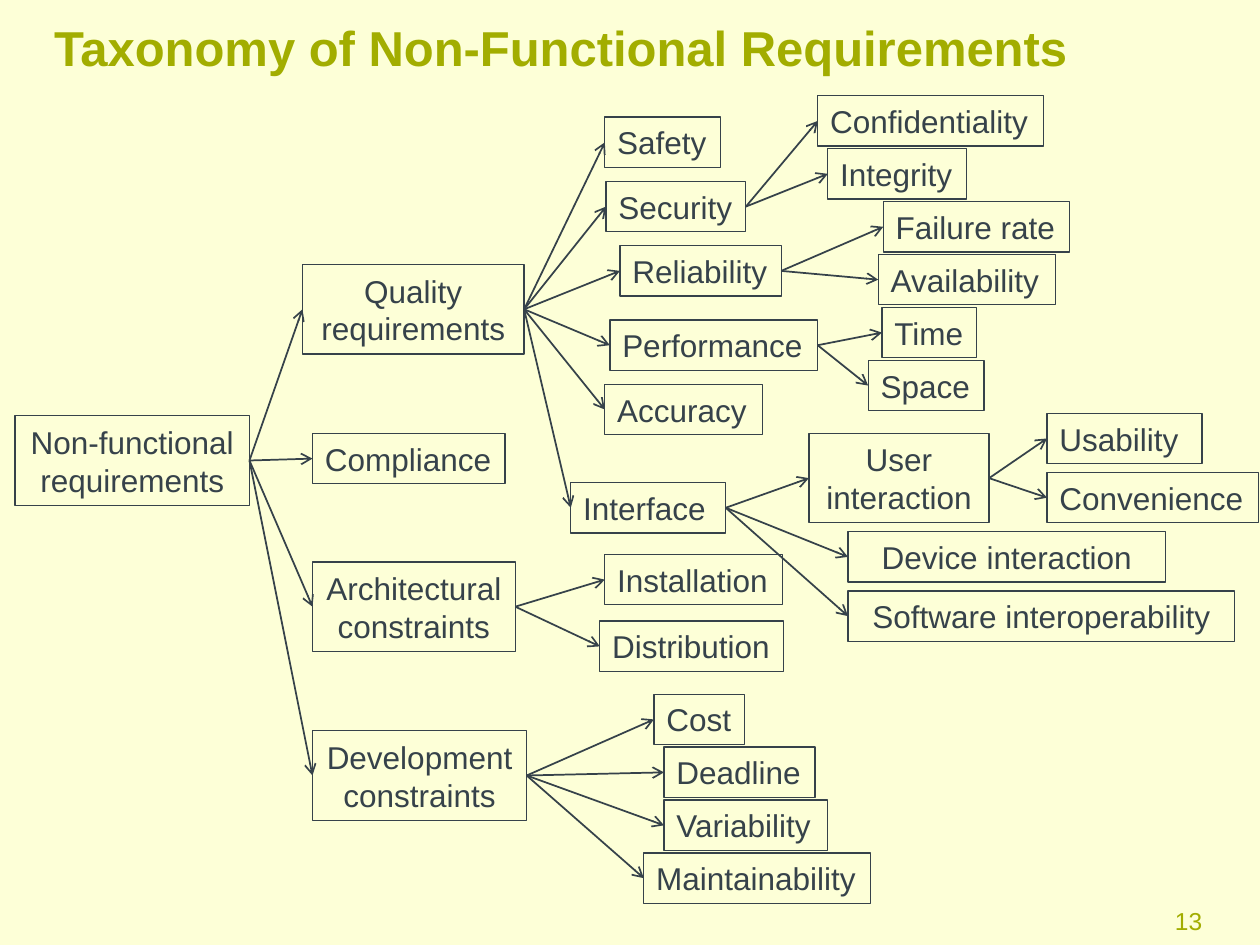
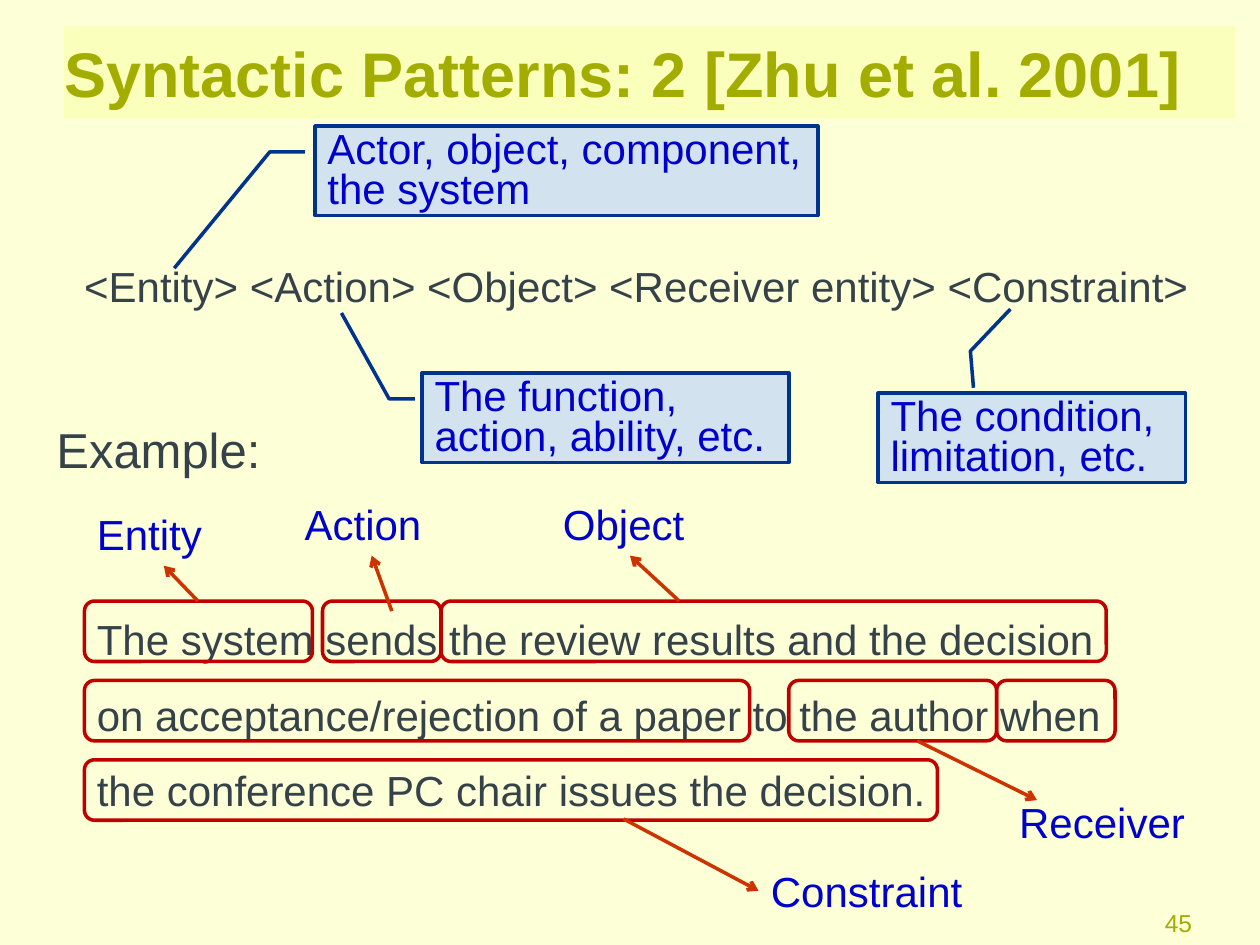
import pptx
import pptx.util
import pptx.dml.color
import pptx.enum.shapes
import pptx.enum.text
import pptx.oxml
import pptx.oxml.ns

Inches = pptx.util.Inches
SHAPE = pptx.enum.shapes.MSO_SHAPE
ALIGN = pptx.enum.text.PP_ALIGN
ANCHOR = pptx.enum.text.MSO_ANCHOR


class Theme:
    font = "Arial"
    page = "FDFFD7"
    band = "FBFFBC"
    head = "A2AD00"
    ink = "36424A"
    blue = "0000CC"
    navy = "00338E"
    sky = "D2E3EF"
    frame = "C00000"
    arrow = "CC3300"
    node = 18
    body = 24
    lead = 28
    foot = 14


TREE_HEAD = ("Taxonomy of Non-Functional Requirements", 28, (0.43, 0.02, 9.25, 0.71), None)
TREE_FOOT = ("13", 9.07, 7.14)
ROOT = "Non-functional requirements"
TALL, LOW = 0.71, 0.4
MID, LEFT = ALIGN.CENTER, ALIGN.LEFT

# top, step, height, alignment, [(parent, label, left, width)]
STACKS = [
    (3.3, 0, TALL, MID, [(None, ROOT, 0.12, 1.86)]),
    (2.1, 0, TALL, MID, [(ROOT, "Quality requirements", 2.4, 1.76)]),
    (3.44, 0, LOW, LEFT, [(ROOT, "Compliance", 2.48, 1.53)]),
    (4.46, 1.34, TALL, MID, [
        (ROOT, "Architectural constraints", 2.48, 1.61),
        (ROOT, "Development constraints", 2.48, 1.7)]),
    (0.93, 0.51, LOW, LEFT, [
        ("Quality requirements", "Safety", 4.8, 0.92),
        ("Quality requirements", "Security", 4.81, 1.11),
        ("Quality requirements", "Reliability", 4.92, 1.28)]),
    (2.54, 0.51, LOW, LEFT, [
        ("Quality requirements", "Performance", 4.84, 1.65),
        ("Quality requirements", "Accuracy", 4.8, 1.25)]),
    (3.83, 0, LOW, LEFT, [("Quality requirements", "Interface", 4.53, 1.23)]),
    (0.76, 0.42, LOW, LEFT, [
        ("Security", "Confidentiality", 6.49, 1.79),
        ("Security", "Integrity", 6.57, 1.1),
        ("Reliability", "Failure rate", 7.01, 1.48),
        ("Reliability", "Availability", 6.97, 1.41),
        ("Performance", "Time", 7, 0.75),
        ("Performance", "Space", 6.89, 0.92)]),
    (3.44, 0, TALL, MID, [("Interface", "User interaction", 6.42, 1.43)]),
    (4.22, 0.47, LOW, MID, [
        ("Interface", "Device interaction", 6.73, 2.52),
        ("Interface", "Software interoperability", 6.73, 3.07)]),
    (3.28, 0.47, LOW, LEFT, [
        ("User interaction", "Usability", 8.31, 1.23),
        ("User interaction", "Convenience", 8.31, 1.68)]),
    (4.4, 0.53, LOW, LEFT, [
        ("Architectural constraints", "Installation", 4.8, 1.41),
        ("Architectural constraints", "Distribution", 4.76, 1.46)]),
    (5.51, 0.42, LOW, LEFT, [
        ("Development constraints", "Cost", 5.19, 0.72),
        ("Development constraints", "Deadline", 5.27, 1.2),
        ("Development constraints", "Variability", 5.27, 1.3),
        ("Development constraints", "Maintainability", 5.11, 1.8)]),
]

RULE_HEAD = ("Syntactic Patterns: 2 [Zhu et al. 2001]", 36, (0.51, 0.21, 9.29, 0.73), Theme.band)
RULE_FOOT = ("45", 8.99, 7.16)
TEXTS = [
    ("<Entity> <Action> <Object> <Receiver entity> <Constraint>",
     (0.57, 2.02, 9.1, 0.5), Theme.body, 1),
    ("The system sends the review results and the decision on acceptance/rejection "
     "of a paper to the author when the conference PC chair issues the decision.",
     (0.67, 4.62, 8.5, 1.88), Theme.body, 1.5),
    ("Example:", (0.35, 3.28, 2.13, 0.57), Theme.lead, 1),
]
NOTES = [
    ("Actor, object, component, the system", 2.5, 1, 3.99,
     (0.29, -0.02, 0.29, -0.09, 1.59, -0.28)),
    ("The function, action, ability, etc.", 3.35, 2.96, 2.91,
     (0.29, -0.02, 0.29, -0.09, -0.67, -0.22)),
    ("The condition, limitation, etc.", 6.97, 3.12, 2.44,
     (-0.06, 0.31, -0.47, 0.3, -0.94, 0.43)),
]
TAGS = [
    ("Entity", 0.67, 3.99, 1.26),
    ("Action", 2.32, 3.91, 1.26),
    ("Object", 4.37, 3.91, 1.26),
    ("Receiver", 7.99, 6.27, 1.73),
    ("Constraint", 6.02, 6.82, 1.73),
]
FRAME_TOP, FRAME_STEP, FRAME_HIGH = 4.77, 0.63, 0.48
FRAMES = [
    [(0.67, 1.81), (2.56, 0.94), (3.5, 5.28)],
    [(0.67, 5.28), (6.26, 1.65), (7.91, 0.94)],
    [(0.67, 6.77)],
]
ARROWS = [
    (1.57, 4.77, 1.3, 4.49),
    (3.11, 4.85, 2.95, 4.41),
    (5.39, 4.77, 5, 4.41),
    (7.28, 5.88, 8.23, 6.35),
    (4.95, 6.5, 6.02, 7.07),
]


def tint(code):
    return pptx.dml.color.RGBColor.from_string(code)


def write(shape, text, size, color, align=LEFT, anchor=ANCHOR.TOP, bold=False, space=None):
    frame = shape.text_frame
    frame.word_wrap = True
    frame.vertical_anchor = anchor
    para = frame.paragraphs[0]
    para.alignment = align
    if space:
        para.line_spacing = space
    run = para.add_run()
    run.text = text
    run.font.name = Theme.font
    run.font.size = pptx.util.Pt(size)
    run.font.bold = bold
    run.font.color.rgb = tint(color)
    return frame


def label(slide, box, text, size, color, **style):
    shape = slide.shapes.add_textbox(*map(Inches, box))
    return shape, write(shape, text, size, color, **style)


def panel(slide, kind, box, line, width, fill=None):
    shape = slide.shapes.add_shape(kind, *map(Inches, box))
    shape.shadow.inherit = False
    if fill:
        shape.fill.solid()
        shape.fill.fore_color.rgb = tint(fill)
    else:
        shape.fill.background()
    shape.line.color.rgb = tint(line)
    shape.line.width = pptx.util.Pt(width)
    return shape


def arrow(slide, ends, color, width):
    link = slide.shapes.add_connector(
        pptx.enum.shapes.MSO_CONNECTOR.STRAIGHT, *map(Inches, ends))
    link.line.color.rgb = tint(color)
    link.line.width = pptx.util.Pt(width)
    tip = pptx.oxml.parse_xml(
        '<a:tailEnd %s type="arrow"/>' % pptx.oxml.ns.nsdecls("a"))
    link.line._get_or_add_ln().append(tip)
    link._element.spPr.append(
        pptx.oxml.parse_xml("<a:effectLst %s/>" % pptx.oxml.ns.nsdecls("a")))
    return link


def start(deck, head, foot):
    slide = deck.slides.add_slide(deck.slide_layouts[6])
    text, size, box, band = head
    shape, frame = label(slide, box, text, size, Theme.head, anchor=ANCHOR.MIDDLE, bold=True)
    frame.margin_left = 0
    if band:
        shape.fill.solid()
        shape.fill.fore_color.rgb = tint(band)
    num, left, top = foot
    label(slide, (left, top, 0.57, 0.39), num, Theme.foot, Theme.head, align=ALIGN.RIGHT)
    return slide


def draw_tree(deck):
    slide = start(deck, TREE_HEAD, TREE_FOOT)
    nodes = {}
    for top, step, high, align, items in STACKS:
        for row, (parent, name, left, wide) in enumerate(items):
            box = (left, top + row * step, wide, high)
            node = panel(slide, SHAPE.RECTANGLE, box, Theme.ink, 0.75)
            frame = write(node, name, Theme.node, Theme.ink, align, ANCHOR.MIDDLE)
            if align == LEFT:
                frame.margin_right = 0
            nodes[name] = node
            if parent:
                link = arrow(slide, (0, 0, 1, 1), Theme.ink, 1)
                link.begin_connect(nodes[parent], 3)
                link.end_connect(node, 1)


def draw_rule(deck):
    slide = start(deck, RULE_HEAD, RULE_FOOT)
    for text, box, size, space in TEXTS:
        label(slide, box, text, size, Theme.ink, space=space)
    for text, left, top, wide, bends in NOTES:
        note = panel(slide, SHAPE.LINE_CALLOUT_2, (left, top, wide, TALL),
                     Theme.navy, 2, Theme.sky)
        for spot, bend in enumerate(bends):
            note.adjustments[spot] = bend
        write(note, text, Theme.body, Theme.blue, space=0.8)
    for row, cells in enumerate(FRAMES):
        for left, wide in cells:
            box = (left, FRAME_TOP + row * FRAME_STEP, wide, FRAME_HIGH)
            panel(slide, SHAPE.ROUNDED_RECTANGLE, box, Theme.frame, 2)
    for text, left, top, wide in TAGS:
        label(slide, (left, top, wide, 0.5), text, Theme.body, Theme.blue)
    for ends in ARROWS:
        arrow(slide, ends, Theme.arrow, 2)


def main():
    deck = pptx.Presentation()
    deck.slide_width, deck.slide_height = Inches(10), Inches(7.5)
    back = deck.slide_master.background.fill
    back.solid()
    back.fore_color.rgb = tint(Theme.page)
    draw_tree(deck)
    draw_rule(deck)
    deck.save("out.pptx")


if __name__ == "__main__":
    main()
